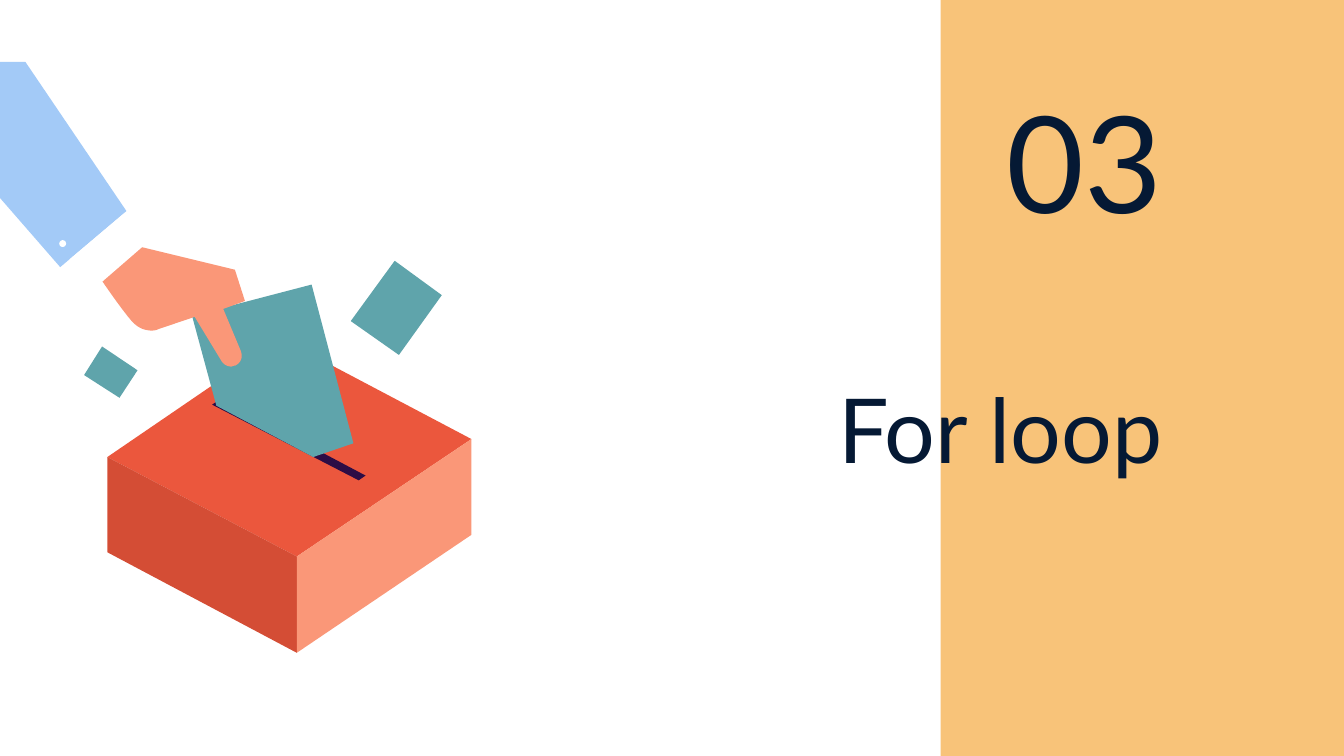
from dataclasses import dataclass

from pptx import Presentation
from pptx.dml.color import RGBColor
from pptx.enum.shapes import MSO_SHAPE as Preset
from pptx.enum.text import MSO_ANCHOR as Anchor, MSO_AUTO_SIZE as AutoSize, PP_ALIGN as Align
from pptx.shapes.base import BaseShape
from pptx.shapes.group import GroupShape
from pptx.util import Cm, Pt


@dataclass(frozen=True)
class Theme:
    font: str = "Lato"
    number_size: int = 72
    title_size: int = 48
    ink: str = "051934"
    band: str = "F8C379"
    lid: str = "EB573D"
    slot: str = "2D0D45"
    shade: str = "D44D35"
    skin: str = "FA9778"
    ballot: str = "5FA4AB"
    sleeve: str = "A3CAF7"
    white: str = "FFFFFF"


@dataclass(frozen=True)
class Area:
    left: float
    top: float
    width: float
    height: float

    def lengths(self) -> tuple[Cm, Cm, Cm, Cm]:
        return Cm(self.left), Cm(self.top), Cm(self.width), Cm(self.height)


Point = tuple[float, float]


@dataclass(frozen=True)
class Curve:
    first: Point
    second: Point
    end: Point


@dataclass(frozen=True)
class Outline:
    color: str
    steps: tuple[Point | Curve, ...]


THEME = Theme()
CURVE_STEPS = 8

LID_LEFT, LID_FRONT, LID_RIGHT = (2.03, 8.64), (5.61, 10.52), (8.91, 8.3)
BASE_FRONT = (5.61, 12.34)

OUTLINES = (
    Outline(THEME.lid, ((5.31, 6.4), LID_RIGHT, LID_FRONT, LID_LEFT)),
    Outline(THEME.slot, ((4.17, 7.54), (6.91, 8.99), (6.78, 9.08), (4.01, 7.65))),
    Outline(THEME.shade, (LID_LEFT, LID_FRONT, BASE_FRONT, (2.03, 10.44))),
    Outline(THEME.skin, (LID_RIGHT, (8.91, 10.11), BASE_FRONT, LID_FRONT)),
    Outline(THEME.ballot, ((5.89, 5.38), (6.68, 8.38), (5.92, 8.64), (4.09, 7.67), (3.63, 5.97))),
    Outline(THEME.ballot, ((7.46, 4.93), (8.35, 5.58), (7.54, 6.71), (6.63, 6.07))),
    Outline(THEME.ballot, ((1.93, 6.55), (2.6, 7), (2.26, 7.52), (1.59, 7.09))),
    Outline(THEME.skin, (
        (2.67, 4.67), (4.44, 5.1), (4.63, 5.69), (4.22, 5.84), (4.55, 6.63),
        Curve((4.6, 6.76), (4.55, 6.86), (4.45, 6.91)),
        Curve((4.42, 6.91), (4.39, 6.93), (4.37, 6.93)),
        Curve((4.29, 6.93), (4.22, 6.88), (4.19, 6.83)),
        (3.68, 5.99), (3, 6.22),
        Curve((3, 6.22), (2.95, 6.25), (2.87, 6.25)),
        Curve((2.77, 6.25), (2.62, 6.22), (2.49, 6.07)),
        Curve((2.29, 5.84), (1.93, 5.31), (1.93, 5.31)),
    )),
    Outline(THEME.sleeve, ((0.48, 1.17), (2.39, 3.99), (1.14, 5.05), (-1.02, 2.57), (-1.02, 1.17))),
    Outline(THEME.white, ((2.34, 4.04), (2.77, 4.6), (1.8, 5.44), (1.32, 4.9))),
)


def paint(shape: BaseShape, color: str) -> None:
    shape.fill.solid()
    shape.fill.fore_color.rgb = RGBColor.from_string(color)
    shape.line.fill.background()
    shape.shadow.inherit = False


def curve_points(start: Point, curve: Curve) -> list[Point]:
    points = []
    for step in range(1, CURVE_STEPS + 1):
        t = step / CURVE_STEPS
        weights = ((1 - t) ** 3, 3 * t * (1 - t) ** 2, 3 * t**2 * (1 - t), t**3)
        controls = (start, curve.first, curve.second, curve.end)
        points.append(tuple(sum(w * c[axis] for w, c in zip(weights, controls)) for axis in (0, 1)))
    return points


def draw_outline(group: GroupShape, outline: Outline) -> None:
    points: list[Point] = []
    for step in outline.steps:
        points += curve_points(points[-1], step) if isinstance(step, Curve) else [step]
    corners = [(Cm(x), Cm(y)) for x, y in points]
    builder = group.shapes.build_freeform(*corners[0])
    builder.add_line_segments(corners[1:], close=True)
    paint(builder.convert_to_shape(), outline.color)


def write(box: BaseShape, text: str, *, area: Area, size: int, anchor: Anchor, spacing: float = 1.0) -> None:
    box.left, box.top, box.width, box.height = area.lengths()
    frame = box.text_frame
    frame.word_wrap = True
    frame.auto_size = AutoSize.NONE
    frame.vertical_anchor = anchor
    frame.margin_left = frame.margin_right = frame.margin_top = frame.margin_bottom = Cm(0.25)
    para = frame.paragraphs[0]
    para.alignment = Align.RIGHT
    para.line_spacing = spacing
    para.space_before = Pt(0)
    span = para.add_run()
    span.text = text
    span.font.name = THEME.font
    span.font.size = Pt(size)
    span.font.color.rgb = RGBColor.from_string(THEME.ink)


def main() -> None:
    deck = Presentation()
    deck.slide_width, deck.slide_height = Cm(25.4), Cm(14.29)
    page = deck.slides.add_slide(deck.slide_layouts[0])
    title, number = page.shapes.title, page.placeholders[1]

    band = page.shapes.add_shape(Preset.RECTANGLE, *Area(17.78, 0, 7.62, 14.29).lengths())
    paint(band, THEME.band)
    title.element.addprevious(band.element)

    write(title, "For loop", area=Area(10.46, 7.11, 11.76, 2.34),
          size=THEME.title_size, anchor=Anchor.MIDDLE, spacing=0.8)
    write(number, "03", area=Area(15.24, 2.62, 6.98, 2.18),
          size=THEME.number_size, anchor=Anchor.BOTTOM)

    voting = page.shapes.add_group_shape()
    for outline in OUTLINES:
        draw_outline(voting, outline)
    button = voting.shapes.add_shape(Preset.OVAL, *Area(1.12, 4.54, 0.13, 0.13).lengths())
    paint(button, THEME.white)

    deck.save("out.pptx")


if __name__ == "__main__":
    main()
